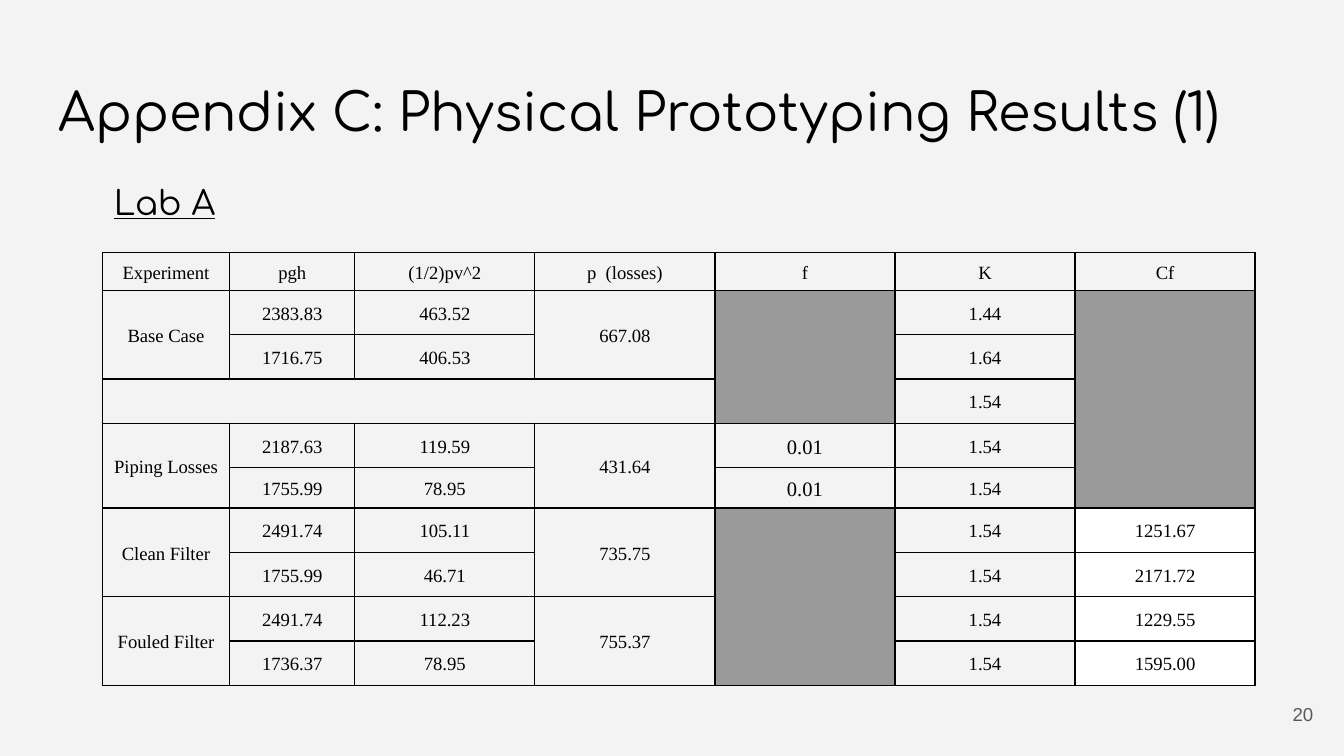
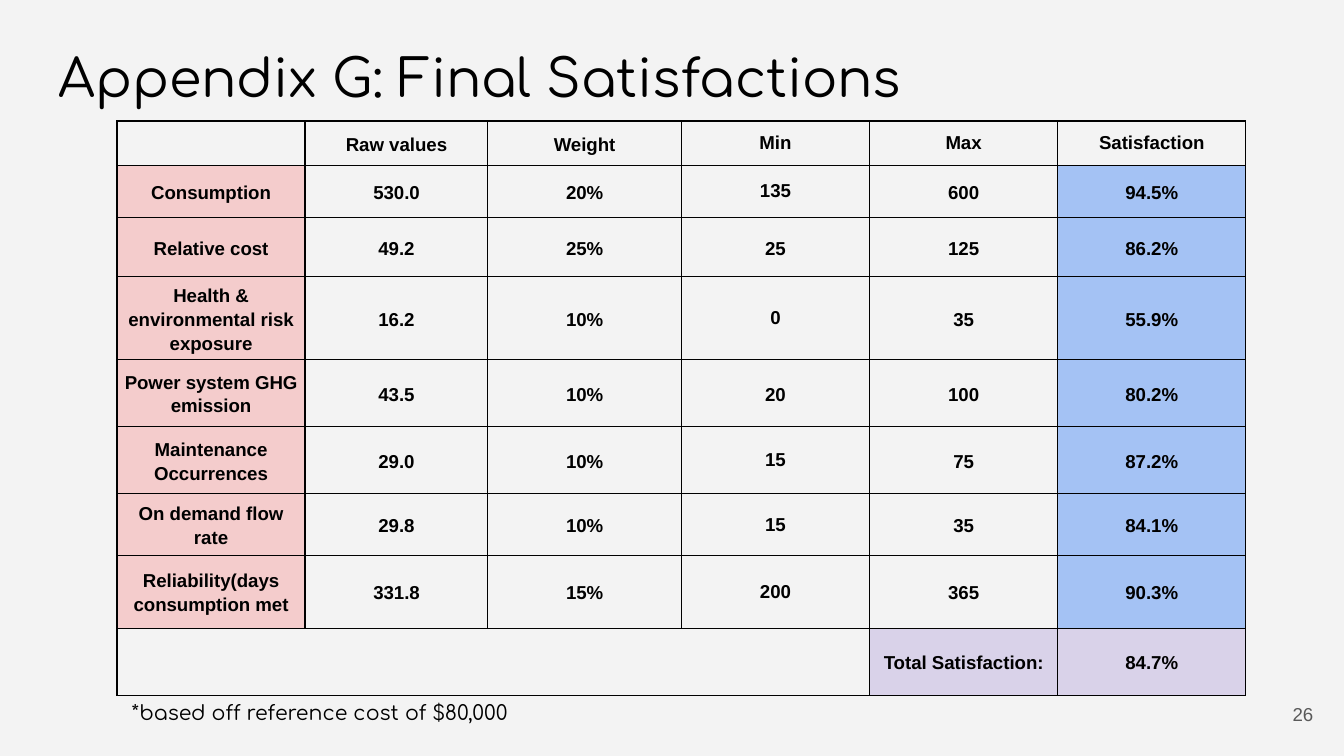
from dataclasses import dataclass
from typing import NamedTuple

from lxml import etree
from pptx import Presentation
from pptx import util as u
from pptx.dml.color import RGBColor
from pptx.enum import text
from pptx.oxml import ns

COLORS = {
    "page": "F3F3F3", "ink": "000000", "number": "595959",
    "blocked": "999999", "white": "FFFFFF",
    "criterion": "F4CCCC", "satisfaction": "A4C2F4", "total": "D9D2E9",
}
HEADING_FONT = "Comfortaa"
BODY_FONT = "Arial"
SPACING = 1.15


class Label(NamedTuple):
    left: float
    top: float
    width: float
    height: float
    text: str
    size: int
    font: str = HEADING_FONT
    color: str = "ink"
    underline: bool = False
    align: text.PP_ALIGN = text.PP_ALIGN.LEFT
    anchor: text.MSO_ANCHOR = text.MSO_ANCHOR.TOP


class Block(NamedTuple):
    """A rectangle of cells, merged or filled together."""
    row: int
    col: int
    rows: int = 1
    cols: int = 1
    color: str = ""


@dataclass
class Grid:
    left: float
    top: float
    widths: list[float]
    heights: list[float]
    rows: list[list[str]]
    merges: list[Block]
    fills: list[Block]
    font: str
    bold: bool = False
    large: tuple[tuple[int, int], ...] = ()   # cells set at 11 pt
    single: tuple[tuple[int, int], ...] = ()  # cells with single line spacing


def rgb(name: str) -> RGBColor:
    return RGBColor.from_string(COLORS[name])


def style(p, font: str, size: int, color: str) -> None:
    p.font.name = font
    p.font.size = u.Pt(size)
    p.font.color.rgb = rgb(color)


def add_label(s, label: Label) -> None:
    box = (label.left, label.top, label.width, label.height)
    tf = s.shapes.add_textbox(*map(u.Inches, box)).text_frame
    tf.word_wrap = True
    tf.vertical_anchor = label.anchor
    tf.margin_left = tf.margin_right = u.Inches(0.1)
    tf.margin_top = tf.margin_bottom = u.Inches(0.1)
    p = tf.paragraphs[0]
    p.text = label.text
    p.alignment = label.align
    style(p, label.font, label.size, label.color)
    if label.underline:
        p.font.underline = True


def add_borders(cell) -> None:
    tc_pr = cell._tc.get_or_add_tcPr()
    for side in ("a:lnL", "a:lnR", "a:lnT", "a:lnB"):
        ln = etree.SubElement(tc_pr, ns.qn(side), w=str(u.Pt(0.75)))
        fill = etree.SubElement(ln, ns.qn("a:solidFill"))
        etree.SubElement(fill, ns.qn("a:srgbClr"), val=COLORS["ink"])


def add_grid(s, grid: Grid) -> None:
    frame = s.shapes.add_table(
        len(grid.heights), len(grid.widths), u.Inches(grid.left), u.Inches(grid.top),
        u.Inches(sum(grid.widths)), u.Inches(sum(grid.heights)))
    table = frame.table
    table.first_row = table.horz_banding = False
    for column, width in zip(table.columns, grid.widths):
        column.width = u.Inches(width)
    for row, height in zip(table.rows, grid.heights):
        row.height = u.Inches(height)

    # Cell text and borders
    for i, row in enumerate(grid.rows):
        for j, value in enumerate(row):
            cell = table.cell(i, j)
            cell.margin_left = cell.margin_right = u.Inches(0.03)
            cell.margin_top = cell.margin_bottom = u.Inches(0.02)
            cell.vertical_anchor = text.MSO_ANCHOR.MIDDLE
            add_borders(cell)
            cell.fill.background()
            p = cell.text_frame.paragraphs[0]
            p.alignment = text.PP_ALIGN.CENTER
            if (i, j) not in grid.single:
                p.line_spacing = SPACING
            if value:
                p.text = value
            else:  # keeps empty cells from stretching their row
                p._p.get_or_add_endParaRPr().set("sz", "1000")
            style(p, grid.font, 11 if (i, j) in grid.large else 10, "ink")
            p.font.bold = grid.bold

    # Filled and merged blocks
    for b in grid.fills:
        for i in range(b.row, b.row + b.rows):
            for j in range(b.col, b.col + b.cols):
                fill = table.cell(i, j).fill
                fill.solid()
                fill.fore_color.rgb = rgb(b.color)
    for b in grid.merges:
        table.cell(b.row, b.col).merge(table.cell(b.row + b.rows - 1, b.col + b.cols - 1))


def add_slide(prs, title: str, title_top: float, title_height: float, number: int):
    s = prs.slides.add_slide(prs.slide_layouts[6])
    s.background.fill.solid()
    s.background.fill.fore_color.rgb = rgb("page")
    add_label(s, Label(0.34, title_top, 9.32, title_height, title, 28))
    add_label(s, Label(9.27, 5.1, 0.6, 0.43, str(number), 10, BODY_FONT, "number",
                       align=text.PP_ALIGN.RIGHT, anchor=text.MSO_ANCHOR.MIDDLE))
    return s


BLOCKED = [Block(1, 4, 3, 1, "blocked"), Block(1, 6, 5, 1, "blocked"),
           Block(6, 4, 4, 1, "blocked")]

LAB_RESULTS = Grid(
    left=0.76, top=1.88,
    widths=[0.95, 0.93] + [1.34] * 5,
    heights=[0.28] + [0.33] * 4 + [0.3] + [0.33] * 4,
    rows=[
        ["Experiment", "pgh", "(1/2)pv^2", "p  (losses)", "f", "K", "Cf"],
        ["Base Case", "2383.83", "463.52", "667.08", "", "1.44", ""],
        ["", "1716.75", "406.53", "", "", "1.64", ""],
        ["", "", "", "", "", "1.54", ""],
        ["Piping Losses", "2187.63", "119.59", "431.64", "0.01", "1.54", ""],
        ["", "1755.99", "78.95", "", "0.01", "1.54", ""],
        ["Clean Filter", "2491.74", "105.11", "735.75", "", "1.54", "1251.67"],
        ["", "1755.99", "46.71", "", "", "1.54", "2171.72"],
        ["Fouled Filter", "2491.74", "112.23", "755.37", "", "1.54", "1229.55"],
        ["", "1736.37", "78.95", "", "", "1.54", "1595.00"],
    ],
    merges=[Block(row, col, 2, 1) for row in (1, 4, 6, 8) for col in (0, 3)]
    + [Block(3, 0, 1, 4)] + BLOCKED,
    fills=BLOCKED + [Block(6, 6, 4, 1, "white")],
    font="Times New Roman",
    large=((4, 4), (5, 4)),
)

SATISFACTIONS = Grid(
    left=0.87, top=0.9,
    widths=[1.4, 1.36, 1.44, 1.4, 1.4, 1.4],
    heights=[0.33, 0.39, 0.44, 0.51, 0.5, 0.5, 0.46, 0.54, 0.5],
    rows=[
        ["", "Raw values", "Weight", "Min", "Max", "Satisfaction"],
        ["Consumption", "530.0", "20%", "135", "600", "94.5%"],
        ["Relative cost", "49.2", "25%", "25", "125", "86.2%"],
        ["Health & environmental risk exposure", "16.2", "10%", "0", "35", "55.9%"],
        ["Power system GHG emission", "43.5", "10%", "20", "100", "80.2%"],
        ["Maintenance Occurrences", "29.0", "10%", "15", "75", "87.2%"],
        ["On demand flow rate", "29.8", "10%", "15", "35", "84.1%"],
        ["Reliability(days consumption met", "331.8", "15%", "200", "365", "90.3%"],
        ["", "", "", "", "Total Satisfaction:", "84.7%"],
    ],
    merges=[Block(8, 0, 1, 4)],
    fills=[Block(1, 0, 7, 1, "criterion"), Block(1, 4, 7, 1, "page"),
           Block(1, 5, 7, 1, "satisfaction"), Block(8, 4, 1, 2, "total")],
    font=BODY_FONT,
    bold=True,
    single=((0, 3), (0, 4), (0, 5), (1, 3), (3, 3), (5, 3), (6, 3), (7, 3)),
)


def main() -> None:
    prs = Presentation()
    prs.slide_width = u.Inches(10)
    prs.slide_height = u.Inches(10 * 9 / 16)

    # Prototyping results
    s = add_slide(prs, "Appendix C: Physical Prototyping Results (1)", 0.49, 0.63, 20)
    add_grid(s, LAB_RESULTS)
    add_label(s, Label(0.75, 1.25, 1.64, 0.35, "Lab A", 18, underline=True))

    # Final satisfactions
    s = add_slide(prs, "Appendix G: Final Satisfactions", 0.24, 1.09, 26)
    add_label(s, Label(0.88, 5.12, 9.32, 0.34, "*based off reference cost of $80,000", 11))
    add_grid(s, SATISFACTIONS)

    prs.save("out.pptx")


if __name__ == "__main__":
    main()
